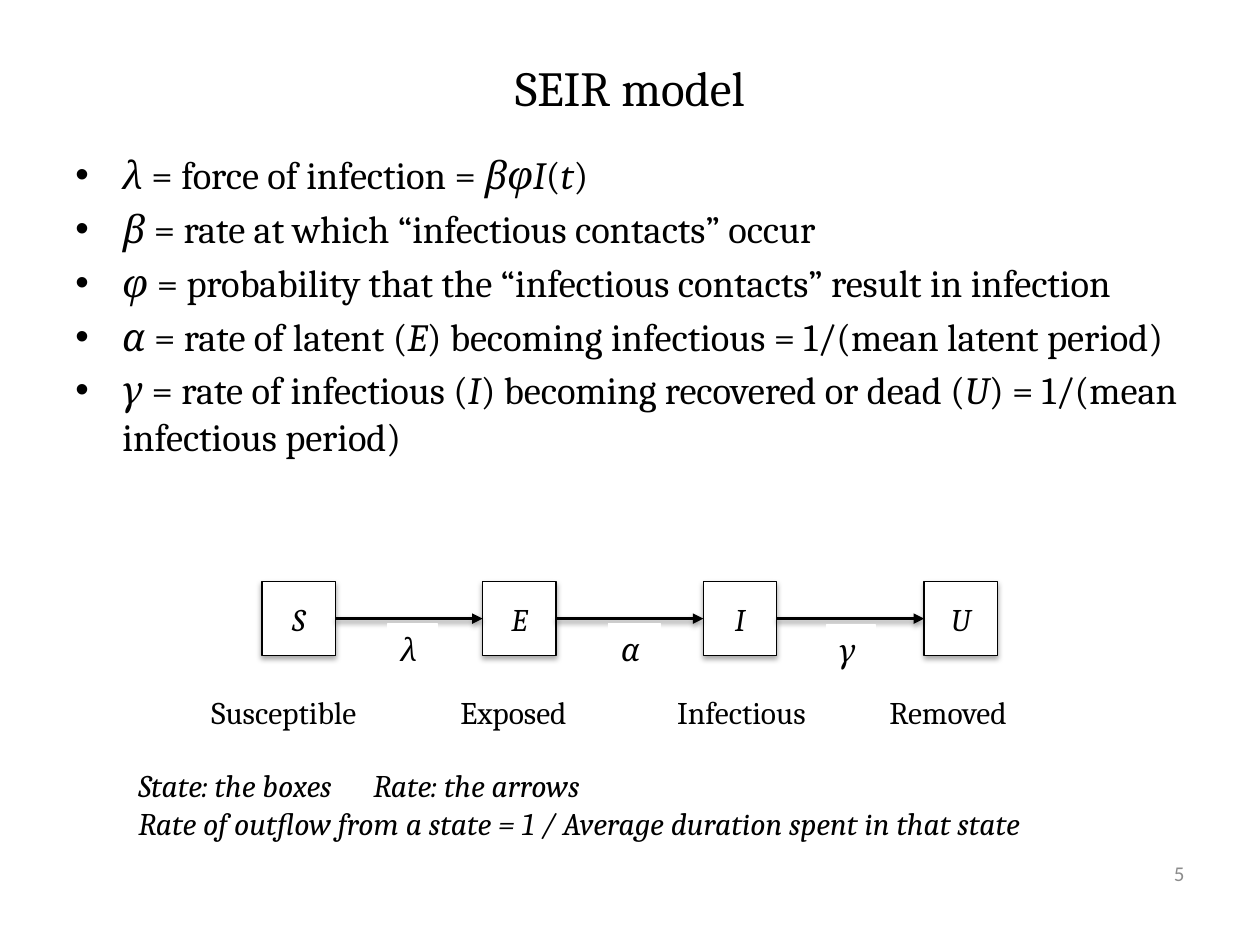
from lxml import etree
from pptx import Presentation
from pptx.dml.color import RGBColor
from pptx.enum.shapes import MSO_CONNECTOR, MSO_SHAPE
from pptx.enum.text import MSO_ANCHOR, PP_ALIGN
from pptx.oxml.ns import qn
from pptx.util import Cm, Pt

LEFT, CENTER, RIGHT = PP_ALIGN.LEFT, PP_ALIGN.CENTER, PP_ALIGN.RIGHT
TOP, MIDDLE = MSO_ANCHOR.TOP, MSO_ANCHOR.MIDDLE
RECTANGLE = MSO_SHAPE.RECTANGLE
STRAIGHT = MSO_CONNECTOR.STRAIGHT
BLACK, WHITE, GRAY = "000000", "FFFFFF", "8C8C8C"

# Asterisks switch italics on and off.
DEFINITIONS = [
    "*λ* = force of infection = *βφI*(*t*)",
    "*β* = rate at which “infectious contacts” occur",
    "*φ* = probability that the “infectious contacts” result in infection",
    "*α* = rate of latent (*E*) becoming infectious = 1/(mean latent period)",
    "*γ* = rate of infectious (*I*) becoming recovered or dead (*U*)"
    " = 1/(mean infectious period)",
]
NOTES = [
    "*State: the boxes\tRate: the arrows*",
    "*Rate of outflow from a state = 1 / Average duration spent in that state*",
]
STATES = ["S", "E", "I", "U"]
STATE_LEFT, STATE_TOP, STATE_SIZE, STATE_PITCH = 5.28, 11.73, 1.48, 4.45
RATES = [("λ", 7.82, 12.57, 0.99), ("α", 12.27, 12.57, 1.04), ("γ", 16.66, 12.6, 0.99)]


def color(value):
    """Turn a hex string into a colour."""
    return RGBColor.from_string(value)


def write(frame, lines, size, align=LEFT, anchor=TOP, ink=BLACK, font="Cambria"):
    """Fill a text frame with lines in which asterisks toggle italics."""
    frame.vertical_anchor = anchor
    for index, line in enumerate(lines):
        para = frame.paragraphs[0] if index == 0 else frame.add_paragraph()
        para.alignment = align
        for part, text in enumerate(line.split("*")):
            if text:
                span = para.add_run()
                span.text = text
                span.font.name = font
                span.font.size = Pt(size)
                span.font.italic = part % 2 == 1
                span.font.color.rgb = color(ink)


def add_text(page, place, lines, size, **style):
    """Add a wrapping text box at a place given in centimetres."""
    box = page.shapes.add_textbox(*map(Cm, place))
    box.text_frame.word_wrap = True
    write(box.text_frame, lines, size, **style)
    return box


def add_bullets(box):
    """Give each paragraph of a box a hanging bullet."""
    for para in box.text_frame.paragraphs:
        para.space_before = Pt(4.4)
        props = para._p.get_or_add_pPr()
        props.set("marL", str(Cm(0.95)))
        props.set("indent", str(-Cm(0.95)))
        etree.SubElement(props, qn("a:buFont"), typeface="Arial")
        etree.SubElement(props, qn("a:buChar"), char="•")


def add_tabs(box, stops):
    """Set left tab stops, in centimetres, on the first paragraph."""
    props = box.text_frame.paragraphs[0]._p.get_or_add_pPr()
    tabs = etree.SubElement(props, qn("a:tabLst"))
    for stop in stops:
        etree.SubElement(tabs, qn("a:tab"), pos=str(Cm(stop)), algn="l")


def add_shadow(shape, distance, opacity):
    """Drop a soft black shadow straight down."""
    props = shape._element.spPr
    for effects in props.findall(qn("a:effectLst")):
        props.remove(effects)
    effects = etree.SubElement(props, qn("a:effectLst"))
    shadow = etree.SubElement(
        effects, qn("a:outerShdw"), blurRad=str(Pt(3.1)), dist=str(Pt(distance)),
        dir="5400000", rotWithShape="0")
    ink = etree.SubElement(shadow, qn("a:srgbClr"), val=BLACK)
    etree.SubElement(ink, qn("a:alpha"), val=str(opacity * 1000))


def add_rectangle(page, place, text, line, align, anchor):
    """Add a white rectangle with an italic symbol."""
    box = page.shapes.add_shape(RECTANGLE, *map(Cm, place))
    box.shadow.inherit = False
    box.fill.solid()
    box.fill.fore_color.rgb = color(WHITE)
    box.line.color.rgb = color(line)
    box.line.width = Pt(0.75)
    box.text_frame.word_wrap = False
    write(box.text_frame, [f"*{text}*"], 18, align=align, anchor=anchor)
    return box


def add_arrow(page, start, end, height):
    """Add a horizontal arrow that points right."""
    arrow = page.shapes.add_connector(
        STRAIGHT, Cm(start), Cm(height), Cm(end), Cm(height))
    arrow.line.color.rgb = color(BLACK)
    arrow.line.width = Pt(2)
    etree.SubElement(arrow.line._get_or_add_ln(), qn("a:tailEnd"), type="triangle")
    add_shadow(arrow, 1.6, 38)


def add_flow(page):
    """Draw the states, the arrows between them and the rate symbols."""
    lefts = [STATE_LEFT + index * STATE_PITCH for index in range(len(STATES))]
    for state, left in zip(STATES, lefts):
        place = (left, STATE_TOP, STATE_SIZE, STATE_SIZE)
        box = add_rectangle(page, place, state, BLACK, CENTER, MIDDLE)
        add_shadow(box, 1.8, 35)
    for left, following in zip(lefts, lefts[1:]):
        add_arrow(page, left + STATE_SIZE, following, STATE_TOP + STATE_SIZE / 2)
    for symbol, left, top, width in RATES:
        add_rectangle(page, (left, top, width, 1.02), symbol, WHITE, LEFT, TOP)


def main():
    """Build the slide and save it."""
    deck = Presentation()
    deck.slide_width, deck.slide_height = Cm(25.4), Cm(19.05)
    page = deck.slides.add_slide(deck.slide_layouts[6])
    add_text(page, (1.27, 0.76, 22.86, 1.98), ["SEIR model"], 28,
             align=CENTER, anchor=MIDDLE)
    add_bullets(add_text(page, (1.27, 2.92, 22.86, 15.24), DEFINITIONS, 22))
    add_flow(page)
    names = add_text(page, (4.01, 13.84, 17.15, 1.02),
                     ["Susceptible\tExposed\tInfectious\tRemoved"], 18)
    add_tabs(names, [5.02, 9.39, 13.67])
    notes = add_text(page, (2.54, 15.32, 19.66, 1.8), NOTES, 18)
    add_tabs(notes, [4.74])
    add_text(page, (18.21, 17.09, 5.92, 1.02), ["5"], 12,
             align=RIGHT, anchor=MIDDLE, ink=GRAY, font="Calibri")
    deck.save("out.pptx")


main()
